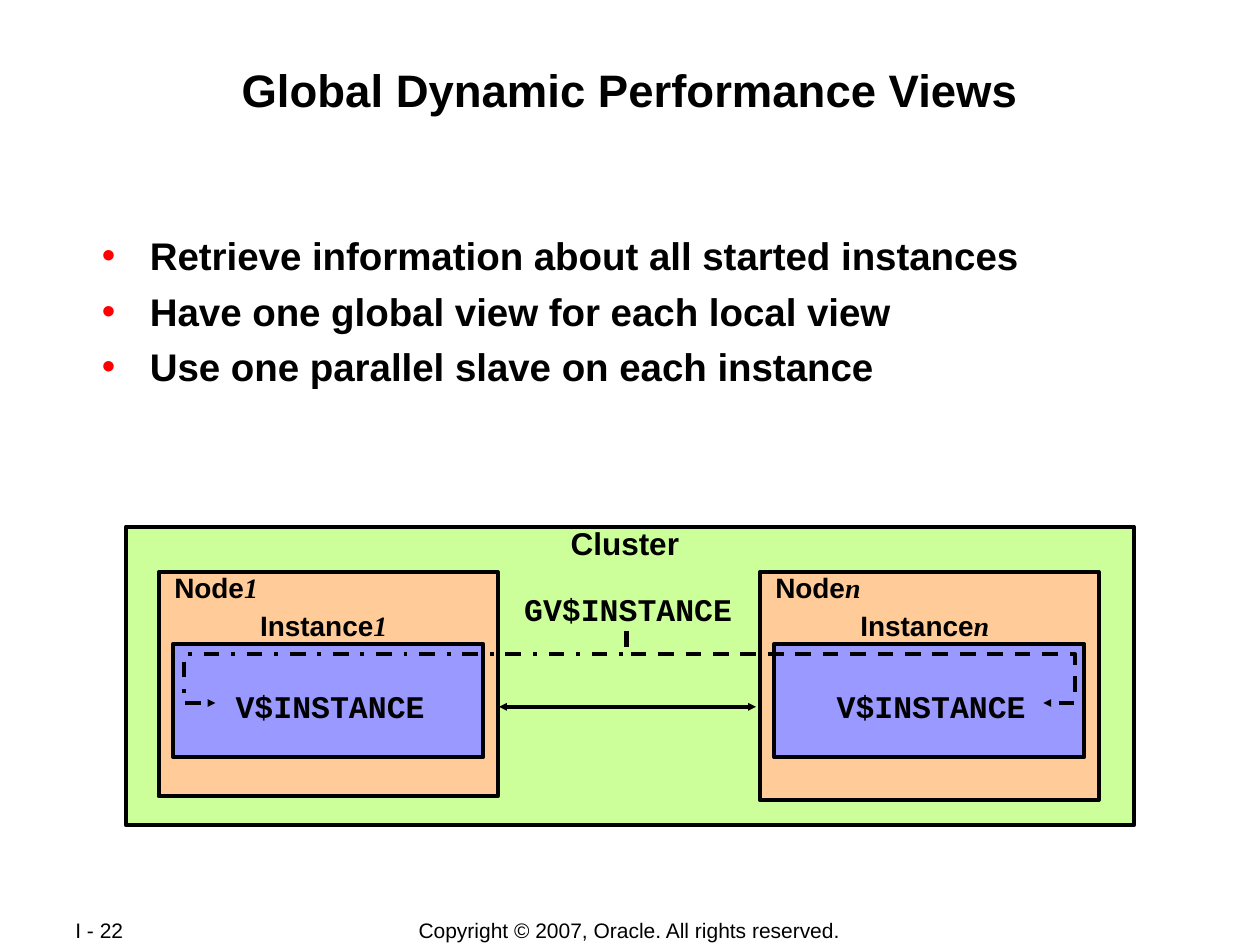
from lxml import etree
from pptx import Presentation
from pptx.dml.color import RGBColor
from pptx.enum.dml import MSO_LINE as Dash
from pptx.enum.shapes import MSO_CONNECTOR as Connector, MSO_SHAPE as Shape
from pptx.enum.text import MSO_ANCHOR as Anchor, PP_ALIGN as Align
from pptx.oxml.ns import qn
from pptx.util import Inches, Pt

COLORS = {"ink": "000000", "bullet": "FF0000", "cluster": "CCFF99",
          "node": "FFCC99", "instance": "9999FF"}
BULLETS = ["Retrieve information about all started instances",
           "Have one global view for each local view",
           "Use one parallel slave on each instance"]
MONO = "Courier New"


def color(name):
    return RGBColor.from_string(COLORS[name])


def add_bullet(paragraph):
    properties = paragraph._p.get_or_add_pPr()
    properties.set("marL", str(Inches(0.51)))
    properties.set("indent", str(-Inches(0.38)))
    bullet_color = etree.SubElement(properties, qn("a:buClr"))
    etree.SubElement(bullet_color, qn("a:srgbClr"), val=COLORS["bullet"])
    etree.SubElement(properties, qn("a:buFont"), typeface="Arial")
    etree.SubElement(properties, qn("a:buChar"), char="•")


def add_text(slide, box, lines, size=18, font="Arial", bold=True, align=Align.CENTER,
             anchor=Anchor.TOP, wrap=False, inset=(0.1, 0.05), bullets=False,
             space=0, suffix=""):
    """Add a text box; suffix is set in italic serif after the last line."""
    frame = slide.shapes.add_textbox(*map(Inches, box)).text_frame
    frame.word_wrap = wrap
    frame.vertical_anchor = anchor
    frame.margin_left = frame.margin_right = Inches(inset[0])
    frame.margin_top = frame.margin_bottom = Inches(inset[1])
    for index, line in enumerate(lines):
        paragraph = frame.add_paragraph() if index else frame.paragraphs[0]
        paragraph.alignment = align
        if index:
            paragraph.space_before = Pt(space)
        if bullets:
            add_bullet(paragraph)
        paragraph.font.size = Pt(size)
        paragraph.font.bold = bold
        paragraph.font.name = font
        paragraph.font.color.rgb = color("ink")
        paragraph.add_run().text = line
    if suffix:
        run = paragraph.add_run()
        run.text = suffix
        run.font.name = "Times New Roman"
        run.font.italic = True


def add_box(slide, box, fill):
    shape = slide.shapes.add_shape(Shape.RECTANGLE, *map(Inches, box))
    shape.shadow.inherit = False
    shape.fill.solid()
    shape.fill.fore_color.rgb = color(fill)
    shape.line.color.rgb = color("ink")
    shape.line.width = Pt(2.25)


def add_arrow(slide, kind, start, end, ends=("tailEnd",), dash=None):
    connector = slide.shapes.add_connector(kind, *map(Inches, start + end))
    connector.line.color.rgb = color("ink")
    connector.line.width = Pt(2.25)
    if dash:
        connector.line.dash_style = dash
    line = connector.line._get_or_add_ln()
    for name in ends:
        etree.SubElement(line, qn(f"a:{name}"), type="triangle", w="sm", len="sm")
    etree.SubElement(connector._element.spPr, qn("a:effectLst"))
    return connector


def add_bent_arrow(slide, start, end, degrees, overshoot, dash):
    """Route down, sideways past the end, down and back; points are before rotation."""
    connector = add_arrow(slide, Connector.ELBOW, start, end, dash=dash)
    properties = connector._element.spPr
    properties.find(qn("a:xfrm")).set("rot", str(degrees * 60000))
    geometry = properties.find(qn("a:prstGeom"))
    geometry.set("prst", "bentConnector4")
    guides = geometry.get_or_add_avLst()
    for name, value in (("adj1", 32000), ("adj2", overshoot)):
        etree.SubElement(guides, qn("a:gd"), name=name, fmla=f"val {value}")


def add_node(slide, left, height, suffix):
    add_box(slide, (left, 4.54, 2.69, height), "node")
    add_box(slide, (left + 0.115, 5.11, 2.46, 0.9), "instance")
    add_text(slide, (left + 0.025, 4.48, 1.1, 0.37), ["Node"], size=16,
             align=Align.LEFT, wrap=True, suffix=suffix)
    add_text(slide, (left + 0.64, 4.78, 1.34, 0.37), ["Instance"], size=16,
             wrap=True, suffix=suffix)
    add_text(slide, (left + 0.51, 5.4, 1.7, 0.4), ["V$INSTANCE"], font=MONO)


def main():
    presentation = Presentation()
    presentation.slide_width, presentation.slide_height = Inches(10), Inches(7.5)
    slide = presentation.slides.add_slide(presentation.slide_layouts[6])

    add_text(slide, (2.75, 7.28, 4.49, 0.21),
             ["Copyright © 2007, Oracle. All rights reserved."],
             size=12, bold=False, anchor=Anchor.MIDDLE)
    add_text(slide, (0.5, 7.28, 1.06, 0.2), ["I - 22"], size=12, bold=False,
             align=Align.LEFT, anchor=Anchor.MIDDLE)
    add_text(slide, (0.67, 0.48, 8.66, 0.96), ["Global Dynamic Performance Views"],
             size=26, wrap=True, inset=(0.01, 0.01))
    add_text(slide, (0.67, 1.83, 8.66, 1.28), BULLETS, size=22, align=Align.LEFT,
             wrap=True, inset=(0.01, 0.01), bullets=True, space=5.5)

    add_box(slide, (1, 4.18, 8, 2.37), "cluster")
    add_node(slide, 1.26, 1.78, "1")
    add_node(slide, 6.03, 1.81, "n")
    add_text(slide, (4.43, 4.11, 1.06, 0.4), ["Cluster"])
    add_text(slide, (4.06, 4.63, 1.85, 0.4), ["GV$INSTANCE"], font=MONO)
    add_arrow(slide, Connector.STRAIGHT, (3.96, 5.61), (6, 5.61),
              ends=("headEnd", "tailEnd"))
    add_bent_arrow(slide, (6.91, 3.64), (6.34, 6.95), 270, 107600, Dash.DASH)
    add_bent_arrow(slide, (3.06, 3.66), (3.63, 6.93), 90, 107700, Dash.DASH_DOT)

    presentation.save("out.pptx")


if __name__ == "__main__":
    main()
